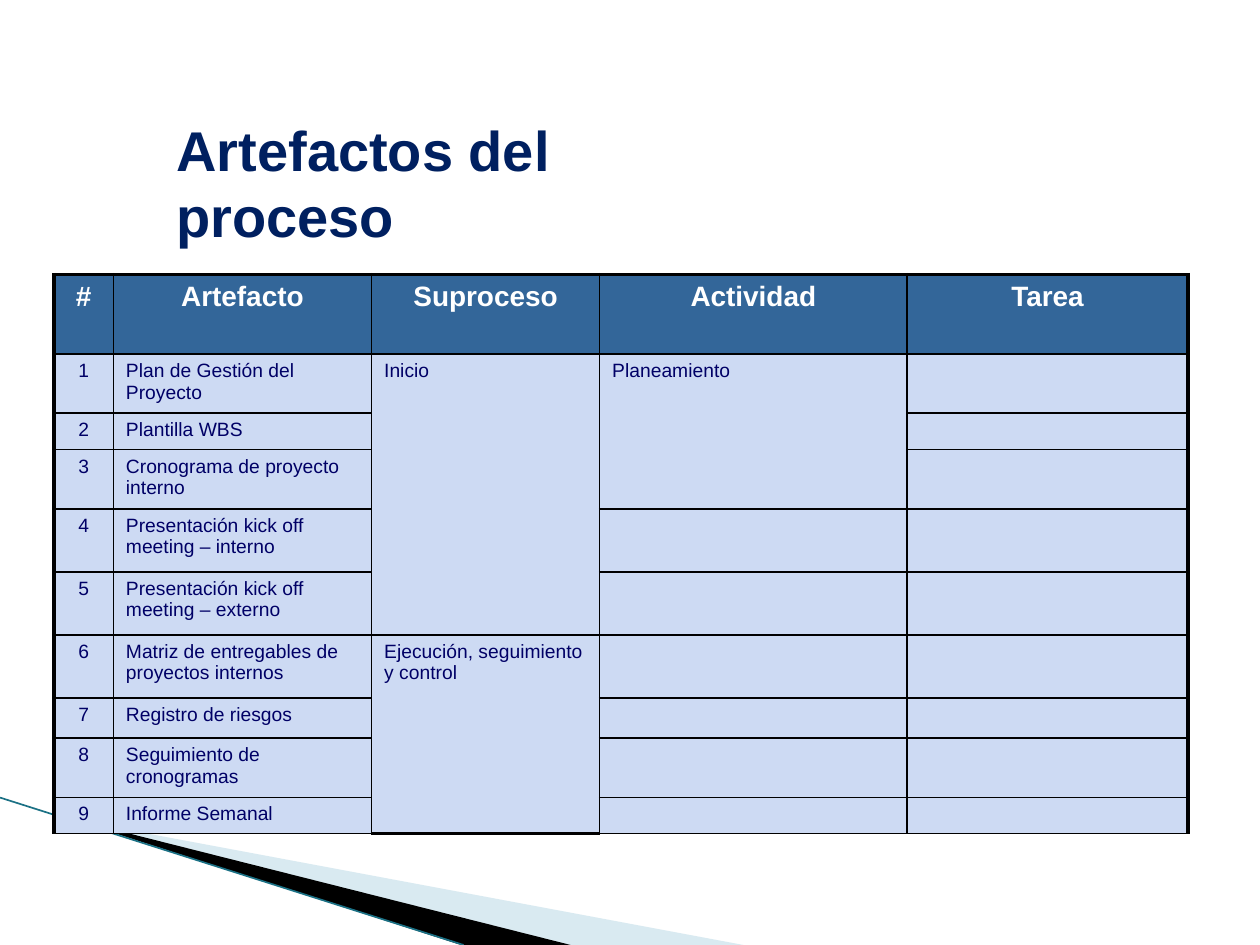
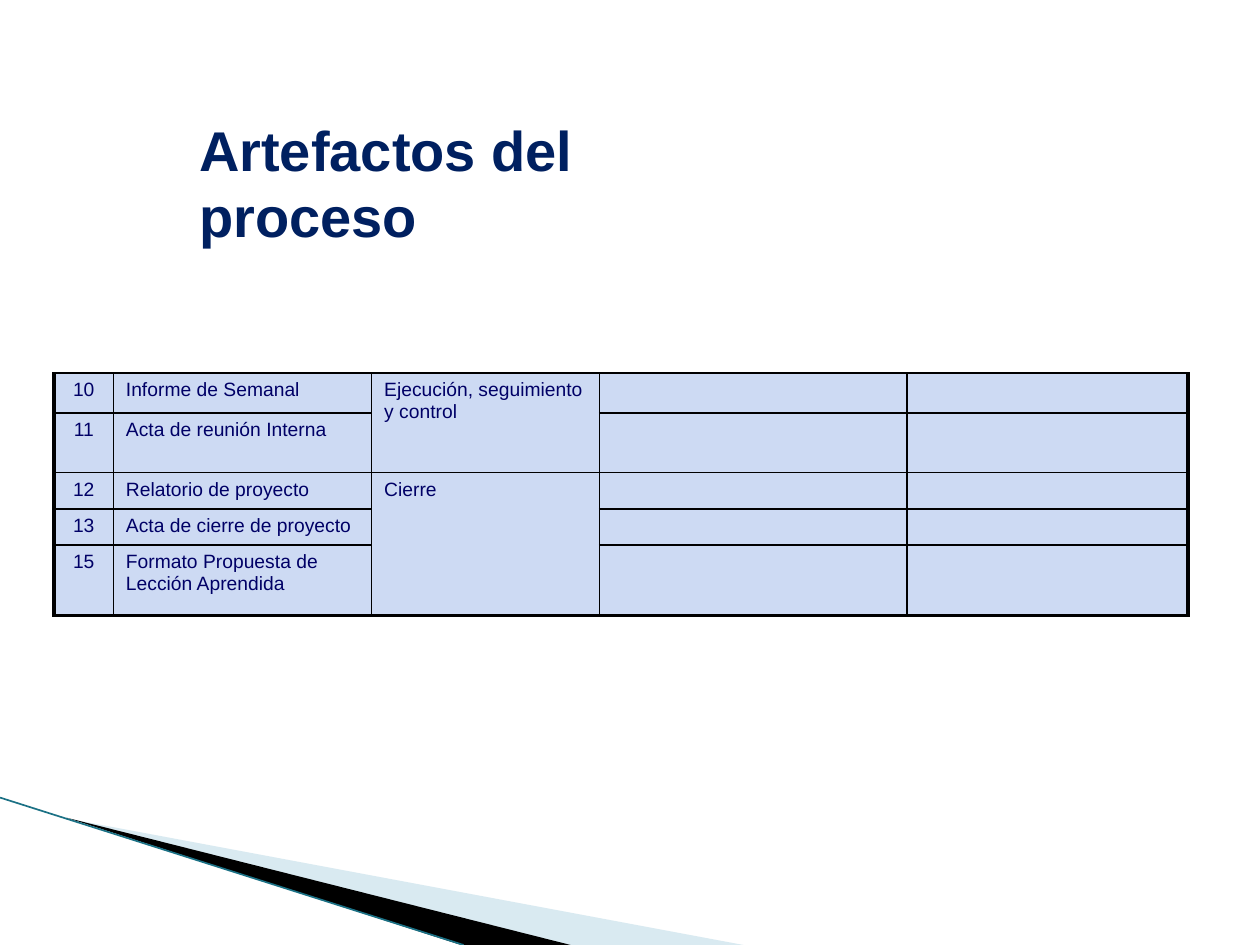
from dataclasses import dataclass, field

from lxml.etree import SubElement
from pptx import Presentation
from pptx.dml.color import RGBColor
from pptx.enum.shapes import MSO_CONNECTOR as Link
from pptx.enum.text import MSO_ANCHOR as Anchor, PP_ALIGN as Align
from pptx.oxml.ns import qn
from pptx.util import Inches, Pt

FONT = "Arial"
NAVY, INK, WHITE, BLACK = "002060", "000066", "FFFFFF", "000000"
STEEL, PALE, TEAL, MIST = "336699", "CDDAF3", "1B7185", "A0CBDC"
THIN, THICK = 1, 2.25
COLS = (0.47, 2.05, 1.81, 2.44, 2.23)
HEADS = ("#", "Artefacto", "Suproceso", "Actividad", "Tarea")


@dataclass
class Wedge:
    """One filled corner shape."""
    points: tuple
    fill: str
    alpha: int = 100


@dataclass
class Row:
    """One table row: its height and its texts from the left."""
    height: float
    texts: tuple
    head: bool = False


@dataclass
class Page:
    """One slide: title place, table place, rows, spans and heavy base."""
    left: float
    top: float
    rows: list
    spans: dict = field(default_factory=dict)
    heavy: tuple = ()


WEDGES = (
    Wedge(((0.55, 6.5), (5.9, 7.5), (4.52, 7.5)), MIST, 40),
    Wedge(((0.53, 6.49), (4.53, 7.5), (3.66, 7.5)), BLACK),
)

PAGES = (
    Page(1.3, 2.18, [
        Row(0.63, HEADS, head=True),
        Row(0.47, ("1", "Plan de Gestión del Proyecto", "Inicio", "Planeamiento")),
        Row(0.28, ("2", "Plantilla WBS")),
        Row(0.47, ("3", "Cronograma de proyecto interno")),
        Row(0.5, ("4", "Presentación kick off meeting – interno")),
        Row(0.5, ("5", "Presentación kick off meeting – externo")),
        Row(0.5, ("6", "Matriz de entregables de proyectos internos",
                  "Ejecución, seguimiento y control")),
        Row(0.32, ("7", "Registro de riesgos")),
        Row(0.47, ("8", "Seguimiento de cronogramas")),
        Row(0.28, ("9", "Informe Semanal")),
    ], {(1, 2): 5, (1, 3): 3, (6, 2): 4}, (2,)),
    Page(1.48, 2.96, [
        Row(0.32, ("10", "Informe de Semanal", "Ejecución, seguimiento y control")),
        Row(0.47, ("11", "Acta de reunión Interna")),
        Row(0.28, ("12", "Relatorio de proyecto", "Cierre")),
        Row(0.28, ("13", "Acta de cierre de proyecto")),
        Row(0.56, ("15", "Formato Propuesta de Lección Aprendida")),
    ], {(0, 2): 2, (2, 2): 3}, tuple(range(len(COLS)))),
)


def tint(part, color: str) -> None:
    """Give a fill a solid colour."""
    part.solid()
    part.fore_color.rgb = RGBColor.from_string(color)


def write(para, text: str, size: float, color: str, bold: bool) -> None:
    """Add one run to a paragraph."""
    run = para.add_run()
    run.text = text
    font = run.font
    font.name, font.size, font.bold = FONT, Pt(size), bold
    font.color.rgb = RGBColor.from_string(color)


def edge(cell, side: str, width: float) -> None:
    """Draw one black border of a cell."""
    line = SubElement(cell._tc.get_or_add_tcPr(), qn(f"a:ln{side}"),
                      w=str(Pt(width)))
    fill = SubElement(line, qn("a:solidFill"))
    SubElement(fill, qn("a:srgbClr"), val=BLACK)


def draw_wedge(slide, wedge: Wedge) -> None:
    """Draw one corner wedge."""
    first, *rest = [(Inches(x), Inches(y)) for x, y in wedge.points]
    pen = slide.shapes.build_freeform(*first)
    pen.add_line_segments(rest)
    shape = pen.convert_to_shape()
    shape.shadow.inherit = False
    tint(shape.fill, wedge.fill)
    shape.line.fill.background()
    if wedge.alpha < 100:
        tone = shape.fill._xPr.find(".//" + qn("a:srgbClr"))
        SubElement(tone, qn("a:alpha"), val=str(wedge.alpha * 1000))


def draw_corner(slide) -> None:
    """Draw the wedges and the line in the lower left corner."""
    for wedge in WEDGES:
        draw_wedge(slide, wedge)
    line = slide.shapes.add_connector(Link.STRAIGHT, Inches(0), Inches(6.33),
                                      Inches(3.68), Inches(7.5))
    tint(line.line.fill, TEAL)
    line.line.width = Pt(0.95)
    SubElement(line._element.spPr, qn("a:effectLst"))


def draw_title(slide, left: float) -> None:
    """Place and fill the title."""
    title = slide.shapes.title
    title.left, title.top = Inches(left), Inches(0.84)
    title.width, title.height = Inches(5), Inches(1.2)
    frame = title.text_frame
    frame.word_wrap = True
    frame.vertical_anchor = Anchor.TOP
    frame.margin_top = Inches(0.08)
    para = frame.paragraphs[0]
    para.alignment = Align.LEFT
    para.line_spacing = Pt(38)
    write(para, "Artefactos del proceso", 32, NAVY, True)


def draw_cell(cell, row: Row, col: int, top: float, base: float) -> None:
    """Fill one cell and draw its borders."""
    edge(cell, "L", THICK if col == 0 else THIN)
    edge(cell, "R", THICK if col == len(COLS) - 1 else THIN)
    edge(cell, "T", top)
    edge(cell, "B", base)
    tint(cell.fill, STEEL if row.head else PALE)
    para = cell.text_frame.paragraphs[0]
    if col < len(row.texts):
        if row.head or col == 0:
            para.alignment = Align.CENTER
        write(para, row.texts[col], 16 if row.head else 11,
              WHITE if row.head else INK, row.head)
    else:
        SubElement(para._p, qn("a:endParaRPr"), sz="1100")


def draw_table(slide, page: Page) -> None:
    """Build the table of a page."""
    rows = page.rows
    frame = slide.shapes.add_table(
        len(rows), len(COLS), Inches(0.43), Inches(page.top),
        Inches(sum(COLS)), Inches(sum(row.height for row in rows)))
    table = frame.table
    table.first_row = table.horz_banding = False
    for col, width in enumerate(COLS):
        table.columns[col].width = Inches(width)
    for num, row in enumerate(rows):
        table.rows[num].height = Inches(row.height)
        for col in range(len(COLS)):
            end = num + page.spans.get((num, col), 1)
            last = end == len(rows) and col in page.heavy
            draw_cell(table.cell(num, col), row, col,
                      THICK if row.head else THIN, THICK if last else THIN)
    for (num, col), count in page.spans.items():
        table.cell(num, col).merge(table.cell(num + count - 1, col))


def main() -> None:
    """Build and save the deck."""
    deck = Presentation()
    deck.slide_width, deck.slide_height = Inches(10), Inches(7.5)
    for page in PAGES:
        slide = deck.slides.add_slide(deck.slide_layouts.get_by_name("Title Only"))
        tint(slide.background.fill, WHITE)
        draw_corner(slide)
        draw_title(slide, page.left)
        draw_table(slide, page)
    deck.save("out.pptx")


main()
